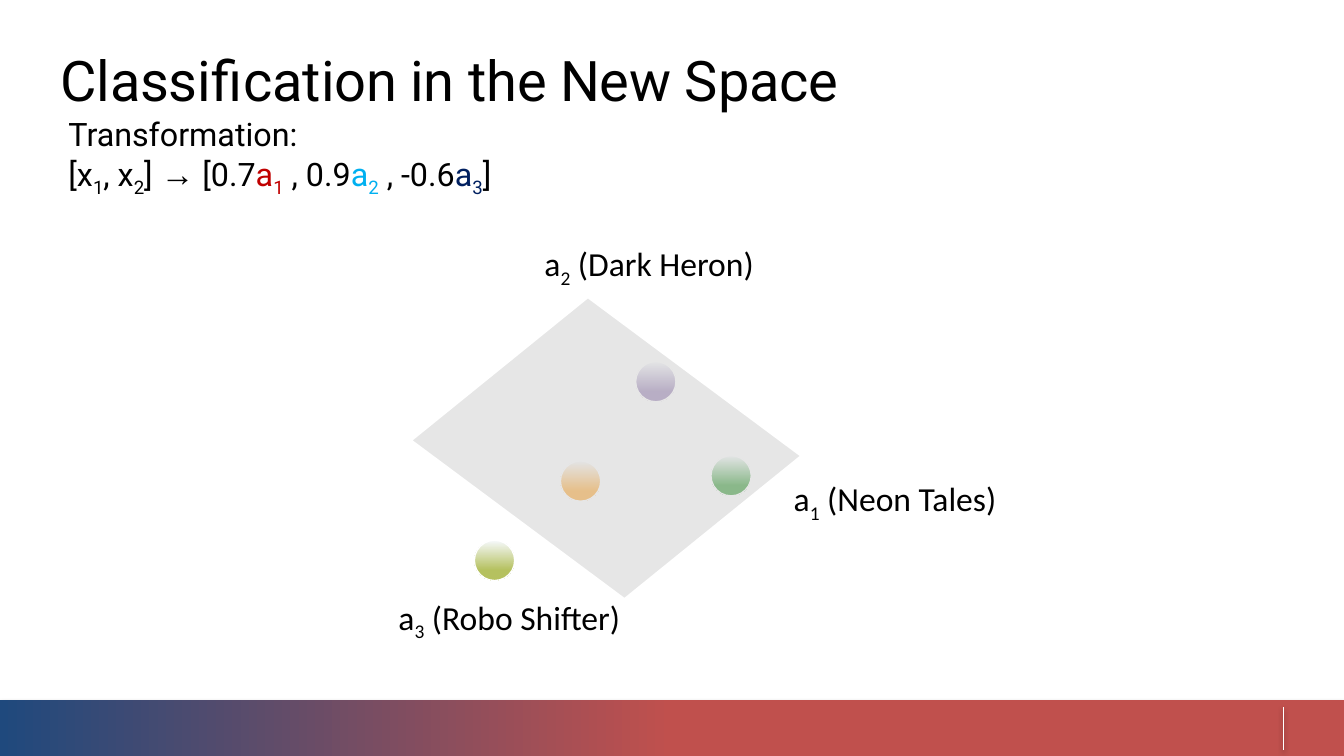
import pptx
import pptx.util
import pptx.dml.color
import pptx.enum.shapes
import pptx.enum.text
import pptx.oxml
import pptx.oxml.ns
import lxml.etree

Inches = pptx.util.Inches
Pt = pptx.util.Pt
SHAPE = pptx.enum.shapes.MSO_SHAPE
qn = pptx.oxml.ns.qn

COLORS = {
    "black": "000000", "white": "FFFFFF", "navy": "1F497D", "brick": "C0504D",
    "red": "C00000", "sky": "00B0F0", "ink": "002060", "plane": "D9D9D9",
    "pale": "F6F9FC", "lime": "B5C15F", "orange": "FF9300",
    "purple": "8064A2", "green": "008000",
}


def rgb(name):
    return pptx.dml.color.RGBColor.from_string(COLORS[name])


def add_text(slide, box, paras, size=18, font="Calibri", align="LEFT",
             anchor="TOP", space=None):
    """Each paragraph is a list of (text, format) runs."""
    frame = slide.shapes.add_textbox(*map(Inches, box)).text_frame
    frame.word_wrap = True
    frame.margin_left = frame.margin_right = 0
    frame.margin_top = frame.margin_bottom = 0
    frame.vertical_anchor = getattr(pptx.enum.text.MSO_ANCHOR, anchor)
    for i, runs in enumerate(paras):
        para = frame.paragraphs[0] if i == 0 else frame.add_paragraph()
        para.alignment = getattr(pptx.enum.text.PP_ALIGN, align)
        para._p.get_or_add_pPr().set("marL", str(Inches(0.01)))
        for text, form in runs:
            run = para.add_run()
            run.text = text
            run.font.size = Pt(form.get("size", size))
            run.font.name = form.get("font", font)
            run.font.color.rgb = rgb(form.get("color", "black"))
            props = run._r.get_or_add_rPr()
            if form.get("sub"):
                props.set("baseline", "-25000")
            if space is not None:
                props.set("spc", str(space))


def term(letter, index, color="black"):
    """Runs for a letter with a subscript."""
    return [(letter, {"color": color}), (index, {"color": color, "sub": True})]


def add_shape(slide, kind, box, line=None):
    shape = slide.shapes.add_shape(kind, *map(Inches, box))
    shape.shadow.inherit = False
    if line:
        shape.line.color.rgb = rgb("white")
        shape.line.width = Pt(line)
    else:
        shape.line.fill.background()
    return shape


def set_grad(shape, first, last, end, angle):
    shape.fill.gradient()
    shape.fill.gradient_angle = angle
    for stop, name, pos in zip(shape.fill.gradient_stops, (first, last), (0, end)):
        stop.color.rgb = rgb(name)
        stop.position = pos


def add_shadow(props, alpha, blur, dist):
    effects = props.find(qn("a:effectLst"))
    if effects is None:
        effects = lxml.etree.SubElement(props, qn("a:effectLst"))
    outer = lxml.etree.SubElement(
        effects, qn("a:outerShdw"), blurRad=str(Pt(blur)), dist=str(Pt(dist)),
        dir="5400000", rotWithShape="0")
    tone = lxml.etree.SubElement(outer, qn("a:srgbClr"), val=COLORS["black"])
    lxml.etree.SubElement(tone, qn("a:alpha"), val=str(alpha * 1000))


def add_footer(slide, box):
    left, top, width, height = box
    band = add_shape(slide, SHAPE.RECTANGLE, box)
    set_grad(band, "navy", "brick", 0.5, 0)
    add_shadow(band._element.spPr, 35, 3.1, 1.8)
    # Divider near the right end
    x = left + width - 0.45
    rule = slide.shapes.add_connector(
        pptx.enum.shapes.MSO_CONNECTOR.STRAIGHT, Inches(x), Inches(top + 0.05),
        Inches(x), Inches(top + height - 0.05))
    rule.line.color.rgb = rgb("white")
    rule.line.width = Pt(0.75)
    add_shadow(rule._element.spPr, 38, 3.1, 1.6)


def add_header(slide, box):
    left, top, width, height = box
    add_text(slide, (left, top, width, 0.5),
             [[("Classification in the New Space", {})]],
             size=30, font="Roboto", space=-10)
    # Mapping from the input to the new space
    mapping = [
        ("[", {}), *term("x", "1"), (", ", {}), *term("x", "2"), ("] ", {}),
        ("→", {"size": 18, "font": "Arial"}), (" [0.7", {}),
        *term("a", "1", "red"), (" , 0.9", {}), *term("a", "2", "sky"),
        (" , -0.6", {}), *term("a", "3", "ink"), ("]", {}),
    ]
    add_text(slide, (left + 0.06, top + 0.35, 3.47, height - 0.35),
             [[("Transformation:", {})], mapping],
             size=17.3, font="Roboto", anchor="MIDDLE")


def add_space(slide, box):
    left, top, width, height = box
    # Axis labels
    for index, name, x, y, w in (("1", "Neon Tales", 3, 1.75, 1.61),
                                 ("3", "Robo Shifter", 0, 2.63, 1.87),
                                 ("2", "Dark Heron", 1.13, 0, 1.69)):
        add_text(slide, (left + x, top + y, w, 0.64),
                 [term("a", index) + [(f" ({name})", {})]], align="CENTER")
    # Data points
    for x, y, color in ((0.68, 2.21, "lime"), (1.32, 1.62, "orange"),
                        (1.88, 0.88, "purple"), (2.44, 1.58, "green")):
        ball = add_shape(slide, SHAPE.OVAL, (left + x, top + y, 0.3, 0.3), 0.75)
        set_grad(ball, "pale", color, 0.74, 270)
    # Translucent separating plane
    plane = add_shape(slide, SHAPE.PARALLELOGRAM,
                      (left + 0.56, top + 0.56, 2.2, 1.93), 2)
    plane.adjustments[0] = 0.256
    plane.rotation = 321
    plane.fill.solid()
    plane.fill.fore_color.rgb = rgb("plane")
    props = plane._element.spPr
    props.find(qn("a:xfrm")).set("flipH", "1")
    tone = props.find(qn("a:solidFill")).find(qn("a:srgbClr"))
    lxml.etree.SubElement(tone, qn("a:alpha"), val="64000")


def main():
    deck = pptx.Presentation()
    # Widescreen, 16 to 9
    deck.slide_width = Inches(10)
    deck.slide_height = deck.slide_width * 9 // 16
    slide = deck.slides.add_slide(deck.slide_layouts[6])
    add_footer(slide, (0, 5.21, 10, 0.42))
    add_header(slide, (0.44, 0.34, 9.23, 1.3))
    add_space(slide, (2.85, 1.81, 4.61, 3.27))
    deck.save("out.pptx")


if __name__ == "__main__":
    main()
